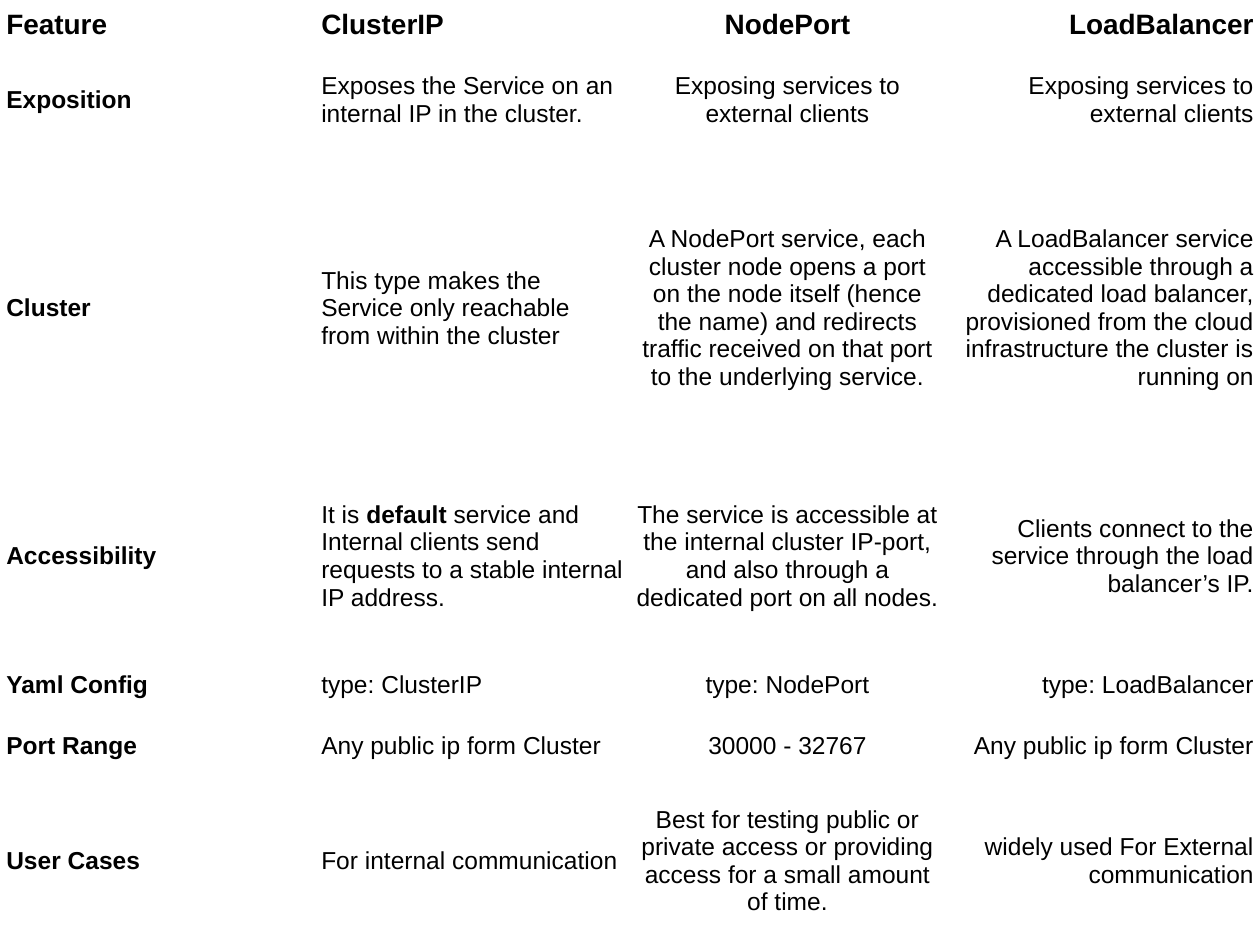
from pptx import Presentation
from pptx.dml.color import RGBColor
from pptx.enum.text import MSO_ANCHOR as ANCHOR, PP_ALIGN as ALIGN
from pptx.util import Inches, Pt

BLACK = RGBColor(0, 0, 0)
FONT = "Arial"
WIDTH, HEIGHT = Inches(10), Inches(7.5)
ROW_HEIGHTS = [0.34, 0.91, 2.39, 1.55, 0.49, 0.49, 1.33]
COLUMN_ALIGNS = [ALIGN.LEFT, ALIGN.LEFT, ALIGN.CENTER, ALIGN.RIGHT]
CELL_FORMAT = {
    "margin_left": Inches(0.05),
    "margin_right": Inches(0.05),
    "margin_top": Inches(0.02),
    "margin_bottom": Inches(0.02),
}

# Text between ** marks is bold
ROWS = [
    ["Feature", "ClusterIP", "NodePort", "LoadBalancer"],
    ["Exposition",
     "Exposes the Service on an internal IP in the cluster.",
     "Exposing services to external clients",
     "Exposing services to external clients"],
    ["Cluster",
     "This type makes the Service only reachable from within the cluster",
     "A NodePort service, each cluster node opens a port on the node itself "
     "(hence the name) and redirects traffic received on that port to the "
     "underlying service.",
     "A LoadBalancer service accessible through a dedicated load balancer, "
     "provisioned from the cloud infrastructure the cluster is running on"],
    ["Accessibility",
     "It is **default** service and Internal clients send requests to a "
     "stable internal IP address.",
     "The service is accessible at the internal cluster IP-port, and also "
     "through a dedicated port on all nodes.",
     "Clients connect to the service through the load balancer’s IP."],
    ["Yaml Config", "type: ClusterIP", "type: NodePort", "type: LoadBalancer"],
    ["Port Range", "Any public ip form Cluster", "30000 - 32767",
     "Any public ip form Cluster"],
    ["User Cases",
     "For internal communication",
     "Best for testing public or private access or providing access for a "
     "small amount of time.",
     "widely used For External communication"],
]


def set_attrs(obj, values):
    for name, value in values.items():
        setattr(obj, name, value)


def add_runs(p, text, size, bold):
    for i, part in enumerate(text.split("**")):
        r = p.add_run()
        r.text = part
        set_attrs(r.font, {"name": FONT, "size": size,
                           "bold": bold or i % 2 == 1})
        r.font.color.rgb = BLACK


def fill_cell(cell, text, align, header, label):
    set_attrs(cell, CELL_FORMAT)
    cell.vertical_anchor = ANCHOR.BOTTOM if header else ANCHOR.MIDDLE
    cell.fill.background()
    p = cell.text_frame.paragraphs[0]
    p.alignment = align
    add_runs(p, text, Pt(16 if header else 14), header or label)


def add_comparison_table(slide):
    columns = len(COLUMN_ALIGNS)
    table = slide.shapes.add_table(len(ROWS), columns, 0, 0,
                                   WIDTH, HEIGHT).table
    set_attrs(table, {"first_row": False, "horz_banding": False})
    for column in table.columns:
        column.width = WIDTH // columns
    for i, (texts, height) in enumerate(zip(ROWS, ROW_HEIGHTS)):
        table.rows[i].height = Inches(height)
        for j, (text, align) in enumerate(zip(texts, COLUMN_ALIGNS)):
            fill_cell(table.cell(i, j), text, align, i == 0, j == 0)


def main():
    prs = Presentation()
    set_attrs(prs, {"slide_width": WIDTH, "slide_height": HEIGHT})
    # Blank layout: the table covers the whole slide
    slide = prs.slides.add_slide(prs.slide_layouts[6])
    add_comparison_table(slide)
    prs.save("out.pptx")


if __name__ == "__main__":
    main()
